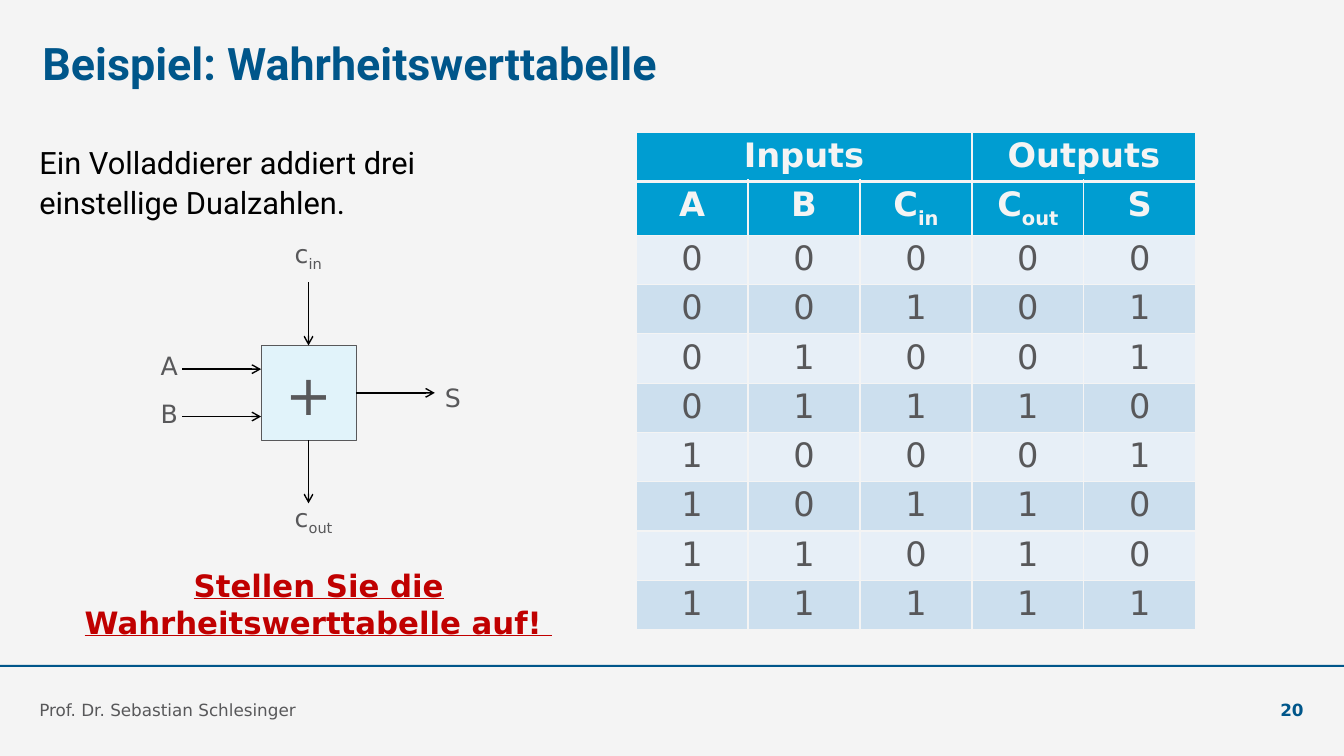
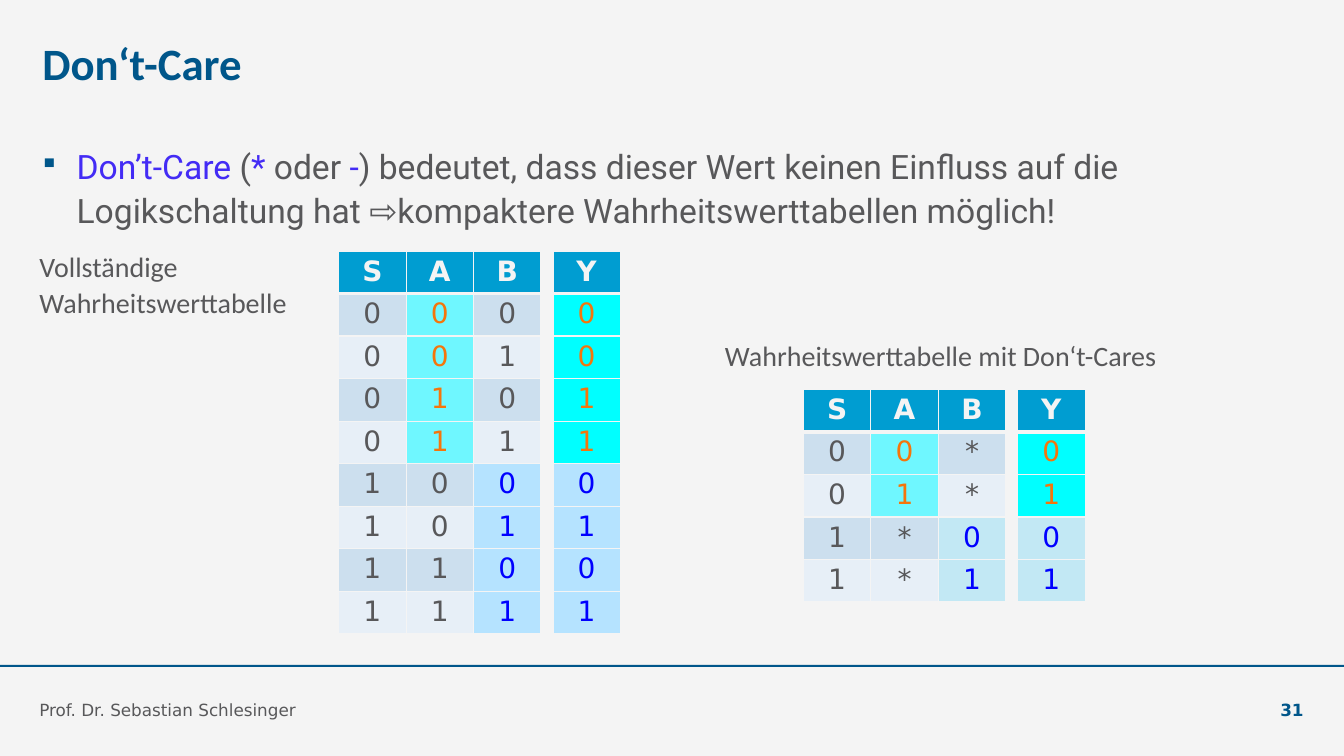
from dataclasses import dataclass
from typing import Callable, Optional

from lxml.etree import SubElement
from pptx import Presentation
from pptx.dml.color import RGBColor
from pptx.enum.shapes import MSO_CONNECTOR as Connector, MSO_SHAPE as Shape
from pptx.enum.text import MSO_ANCHOR as Anchor, PP_ALIGN as Align
from pptx.oxml.ns import qn
from pptx.util import Emu, Inches, Pt

PAPER = RGBColor(0xF4, 0xF4, 0xF4)
NAVY = RGBColor(0x00, 0x56, 0x8A)
HEADER = RGBColor(0x00, 0x9D, 0xD1)
GREY = RGBColor(0x58, 0x58, 0x5A)
BLACK = RGBColor(0x00, 0x00, 0x00)
RED = RGBColor(0xC0, 0x00, 0x00)
VIOLET = RGBColor(0x43, 0x2B, 0xF5)
ORANGE = RGBColor(0xF5, 0x75, 0x0B)
BLUE = RGBColor(0x00, 0x00, 0xFF)
AQUA = RGBColor(0x6F, 0xF7, 0xFF)
CYAN = RGBColor(0x00, 0xFF, 0xFF)
SKY = RGBColor(0xB5, 0xE3, 0xFF)
ICE = RGBColor(0xC2, 0xE8, 0xF4)
ADDER_FILL = RGBColor(0xE1, 0xF3, 0xFA)
BANDS = (RGBColor(0xE7, 0xEF, 0xF7), RGBColor(0xCC, 0xDF, 0xEE))

ROBOTO, CALIBRI, DEJAVU = "Roboto", "Calibri", "DejaVu Sans"
WIDTH, HEIGHT = Inches(13.33), Inches(7.5)
COLUMN, ROW = WIDTH / 100, HEIGHT / 100
MARGIN = 2.93
LECTURER = "Prof. Dr. Sebastian Schlesinger"


@dataclass(frozen=True)
class Area:
    left: float
    top: float
    width: float
    height: float

    def lengths(self) -> tuple[Emu, Emu, Emu, Emu]:
        return (Emu(int(self.left * COLUMN)), Emu(int(self.top * ROW)),
                Emu(int(self.width * COLUMN)), Emu(int(self.height * ROW)))


@dataclass(frozen=True)
class Piece:
    text: str
    colour: Optional[RGBColor] = None
    subscript: bool = False


@dataclass(frozen=True)
class Signal:
    label: str
    label_x: float
    label_y: float
    start: tuple[float, float]
    end: tuple[float, float]
    start_site: Optional[int] = None
    end_site: Optional[int] = None


@dataclass(frozen=True)
class Look:
    fill: RGBColor
    ink: RGBColor


@dataclass(frozen=True)
class DontCareTable:
    left: float
    top: float
    rows: list[str]
    blue_fill: RGBColor


Painter = Callable[[int, int], Look]

SIGNALS = [
    Signal("c_out", 1.5, 9.6, (3, 6), (3, 10), start_site=2),
    Signal("c_in", 1.5, -7.1, (3, -4), (3, 0), end_site=0),
    Signal("S", 11, 2, (6, 3), (11, 3), start_site=3),
    Signal("A", -7, 0, (-5, 1.5), (0, 1.5)),
    Signal("B", -7, 3, (-5, 4.5), (0, 4.5)),
]
DONT_CARE_TABLES = [
    DontCareTable(25.2, 33.2, ["SABY", "0000", "0010", "0101", "0111",
                               "1000", "1011", "1100", "1111"], SKY),
    DontCareTable(59.78, 51.5, ["SABY", "00*0", "01*1", "1*00", "1*11"], ICE),
]


def with_subscript(text: str) -> list[Piece]:
    base, _, index = text.partition("_")
    return [Piece(base)] + ([Piece(index, subscript=True)] if index else [])


def write(frame, pieces: list[Piece], *, size: float, font: str = DEJAVU,
          colour: RGBColor = GREY, bold: bool = False, underline: bool = False,
          align: Align = Align.LEFT, spacing: Optional[float] = None,
          bullet: str = "") -> None:
    paragraph = frame.paragraphs[0]
    paragraph.alignment = align
    if bullet:
        properties = paragraph._p.get_or_add_pPr()
        indent = Inches(0.37)
        properties.set("marL", str(indent))
        properties.set("indent", str(-indent))
        bullet_colour = SubElement(properties, qn("a:buClr"))
        SubElement(bullet_colour, qn("a:srgbClr")).set("val", str(NAVY))
        SubElement(properties, qn("a:buSzPct")).set("val", "80000")
        SubElement(properties, qn("a:buChar")).set("char", bullet)
    if spacing:
        paragraph.line_spacing = spacing
    for piece in pieces:
        for number, line in enumerate(piece.text.split("\n")):
            if number:
                paragraph.add_line_break()
            run = paragraph.add_run()
            run.text = line
            run.font.size, run.font.name = Pt(size), font
            run.font.bold, run.font.underline = bold, underline
            run.font.color.rgb = piece.colour or colour
            if piece.subscript:
                run.font._element.set("baseline", "-25000")


def add_text(slide, area: Area, pieces: list[Piece], *, inset: bool = False,
             wrap: bool = True, anchor: Anchor = Anchor.TOP, **text_format) -> None:
    frame = slide.shapes.add_textbox(*area.lengths()).text_frame
    frame.word_wrap = wrap
    frame.vertical_anchor = anchor
    if not inset:
        frame.margin_left = frame.margin_right = 0
        frame.margin_top = frame.margin_bottom = 0
    write(frame, pieces, **text_format)


def add_block(slide, area: Area, fill: RGBColor, outline: Optional[RGBColor] = None):
    block = slide.shapes.add_shape(Shape.RECTANGLE, *area.lengths())
    block.shadow.inherit = False
    block.fill.solid()
    block.fill.fore_color.rgb = fill
    if outline is None:
        block.line.fill.background()
    else:
        block.line.color.rgb = outline
        block.line.width = Pt(0.5)
    return block


def start_slide(deck, title: str, number: int, title_font: str):
    slide = deck.slides.add_slide(deck.slide_layouts[6])
    slide.background.fill.solid()
    slide.background.fill.fore_color.rgb = PAPER
    add_block(slide, Area(0, 87.95, 100, 0.27), NAVY)
    add_text(slide, Area(3.15, 4.7, 62.5, 8.4), [Piece(title)],
             size=32, font=title_font, colour=NAVY, bold=True)
    add_text(slide, Area(MARGIN, 90, 69, 5.2), [Piece(LECTURER)],
             size=12, anchor=Anchor.BOTTOM)
    add_text(slide, Area(90.25, 90, 6.75, 5.2), [Piece(str(number))], size=12,
             colour=NAVY, bold=True, align=Align.RIGHT, anchor=Anchor.BOTTOM)
    return slide


def set_borders(cell, bottom: float) -> None:
    properties = cell._tc.get_or_add_tcPr()
    for side, points in (("L", 1), ("R", 1), ("T", 1), ("B", bottom)):
        edge = SubElement(properties, qn(f"a:ln{side}"))
        edge.set("w", str(Pt(points)))
        fill = SubElement(edge, qn("a:solidFill"))
        SubElement(fill, qn("a:srgbClr")).set("val", str(PAPER))


def add_truth_table(slide, left: float, top: float, column: float, row: float,
                    rows: list[list[str]], paint: Painter, *, size: float,
                    header_rows: int = 1):
    area = Area(left, top, column * len(rows[0]), row * len(rows))
    table = slide.shapes.add_table(len(rows), len(rows[0]), *area.lengths()).table
    for r, values in enumerate(rows):
        table.rows[r].height = Emu(int(row * ROW))
        is_header = r < header_rows
        for c, value in enumerate(values):
            cell = table.cell(r, c)
            look = Look(HEADER, PAPER) if is_header else paint(r, c)
            set_borders(cell, 3 if r == 0 else 1)
            cell.margin_top = cell.margin_bottom = Inches(0.04)
            cell.fill.solid()
            cell.fill.fore_color.rgb = look.fill
            if value:
                write(cell.text_frame, with_subscript(value), size=size,
                      colour=look.ink, bold=is_header, align=Align.CENTER)
    return table


def banded(row: int, column: int) -> Look:
    return Look(BANDS[row % 2], GREY)


def add_adder(slide) -> None:
    area = Area(19.43, 45.7, 7.05, 12.53)
    adder = add_block(slide, area, ADDER_FILL, GREY)
    adder.text_frame.vertical_anchor = Anchor.MIDDLE
    write(adder.text_frame, [Piece("+")], size=40, align=Align.CENTER)
    step_x, step_y = area.width / 6, area.height / 6

    def place(x: float, y: float) -> Area:
        return Area(area.left + x * step_x, area.top + y * step_y, 5, 5.33)

    for signal in SIGNALS:
        ends = place(*signal.start).lengths()[:2] + place(*signal.end).lengths()[:2]
        arrow = slide.shapes.add_connector(Connector.STRAIGHT, *ends)
        arrow.line.color.rgb = BLACK
        arrow.line.width = Pt(1)
        SubElement(arrow.line._get_or_add_ln(), qn("a:tailEnd")).set("type", "arrow")
        SubElement(arrow._element.spPr, qn("a:effectLst"))
        if signal.start_site is not None:
            arrow.begin_connect(adder, signal.start_site)
        if signal.end_site is not None:
            arrow.end_connect(adder, signal.end_site)
        add_text(slide, place(signal.label_x, signal.label_y),
                 with_subscript(signal.label), size=18, inset=True, wrap=False)


def build_full_adder(deck) -> None:
    slide = start_slide(deck, "Beispiel: Wahrheitswerttabelle", 20, ROBOTO)
    add_text(slide, Area(MARGIN, 18.67, 40, 11),
             [Piece("Ein Volladdierer addiert drei\neinstellige Dualzahlen.")],
             size=22, font=ROBOTO, colour=BLACK, spacing=1.08)
    rows = [["Inputs", "", "", "Outputs", ""], ["A", "B", "C_in", "C_out", "S"]]
    for number in range(8):
        bits = [number >> shift & 1 for shift in (2, 1, 0)]
        rows.append([str(bit) for bit in (*bits, sum(bits) // 2, sum(bits) % 2)])
    table = add_truth_table(slide, 47.33, 17.47, 8.33, 6.52, rows, banded,
                            size=24, header_rows=2)
    table.cell(0, 0).merge(table.cell(0, 2))
    table.cell(0, 3).merge(table.cell(0, 4))
    add_adder(slide)
    add_text(slide, Area(0.98, 74.27, 45.46, 11.2),
             [Piece("Stellen Sie die Wahrheitswerttabelle auf! ")], size=22,
             colour=RED, bold=True, underline=True, align=Align.CENTER, inset=True)


def add_dont_care_table(slide, content: DontCareTable) -> None:
    column, row, gap = 5.02, 5.63, 0.88

    def paint_input(r: int, c: int) -> Look:
        selected = 1 if content.rows[r][0] == "0" else 2
        if c != selected:
            return banded(r, c)
        return Look(AQUA, ORANGE) if selected == 1 else Look(content.blue_fill, BLUE)

    def paint_output(r: int, c: int) -> Look:
        if content.rows[r][0] == "0":
            return Look(CYAN, ORANGE)
        return Look(content.blue_fill, BLUE)

    add_truth_table(slide, content.left, content.top, column, row,
                    [list(line[:3]) for line in content.rows], paint_input, size=20)
    add_truth_table(slide, content.left + 3 * column + gap, content.top, column, row,
                    [[line[3]] for line in content.rows], paint_output, size=20)


def build_dont_care(deck) -> None:
    slide = start_slide(deck, "Don‘t-Care", 31, CALIBRI)
    add_text(slide, Area(MARGIN, 18.93, 94.15, 12),
             [Piece("Don’t-Care ", VIOLET), Piece("("), Piece("*", VIOLET),
              Piece(" oder "), Piece("-", VIOLET),
              Piece(") bedeutet, dass dieser Wert keinen Einfluss auf die "
                    "Logikschaltung hat ⇨kompaktere Wahrheitswerttabellen möglich!")],
             size=24, font=ROBOTO, spacing=1.08, bullet="▪")
    captions = [(Area(MARGIN, 32.65, 21, 10), "Vollständige\nWahrheitswerttabelle"),
                (Area(53.94, 44.4, 36, 5), "Wahrheitswerttabelle mit Don‘t-Cares")]
    for area, caption in captions:
        add_text(slide, area, [Piece(caption)], size=20, font=CALIBRI, spacing=1.08)
    for content in DONT_CARE_TABLES:
        add_dont_care_table(slide, content)


def main() -> None:
    deck = Presentation()
    deck.slide_width, deck.slide_height = WIDTH, HEIGHT
    build_full_adder(deck)
    build_dont_care(deck)
    deck.save("out.pptx")


if __name__ == "__main__":
    main()
